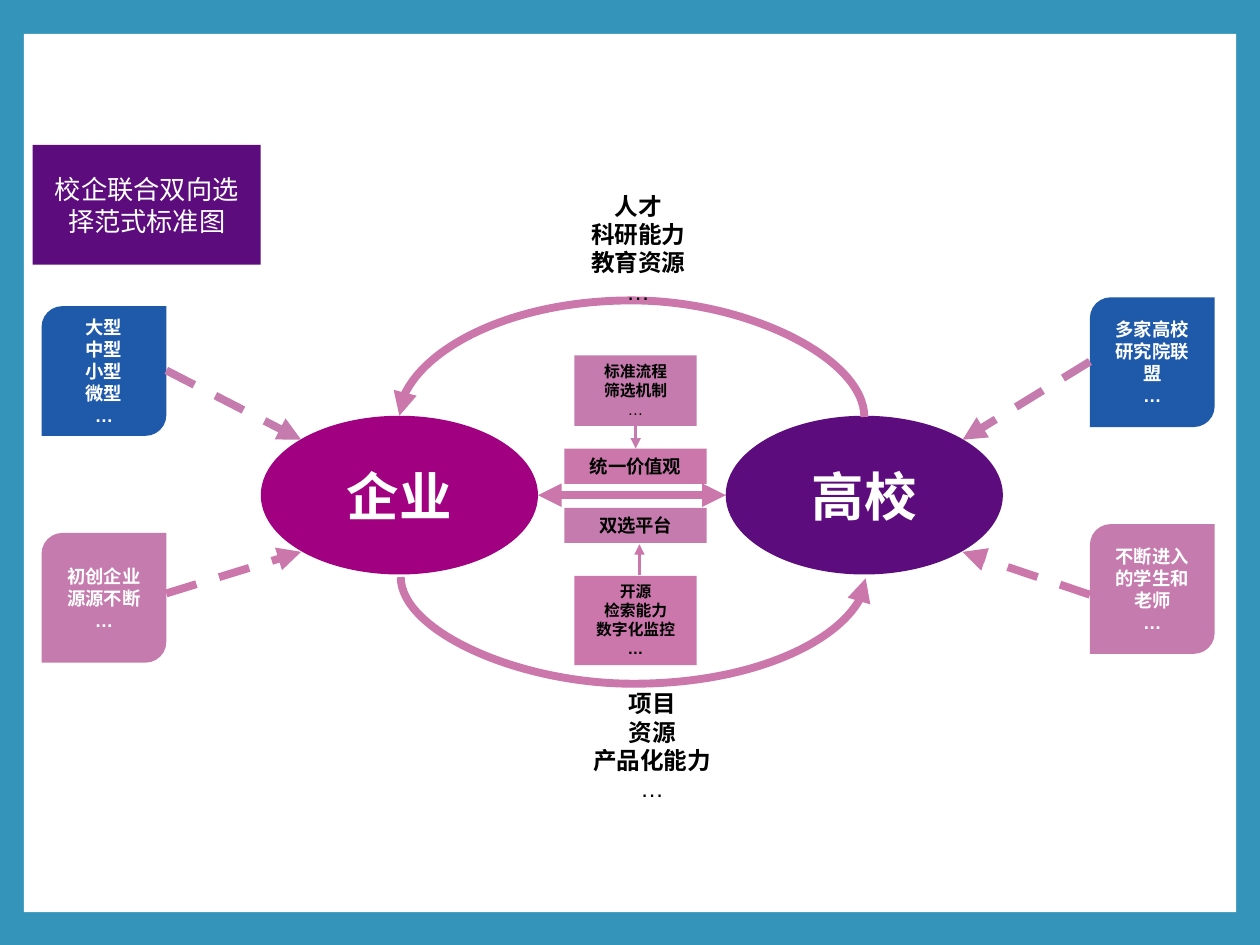
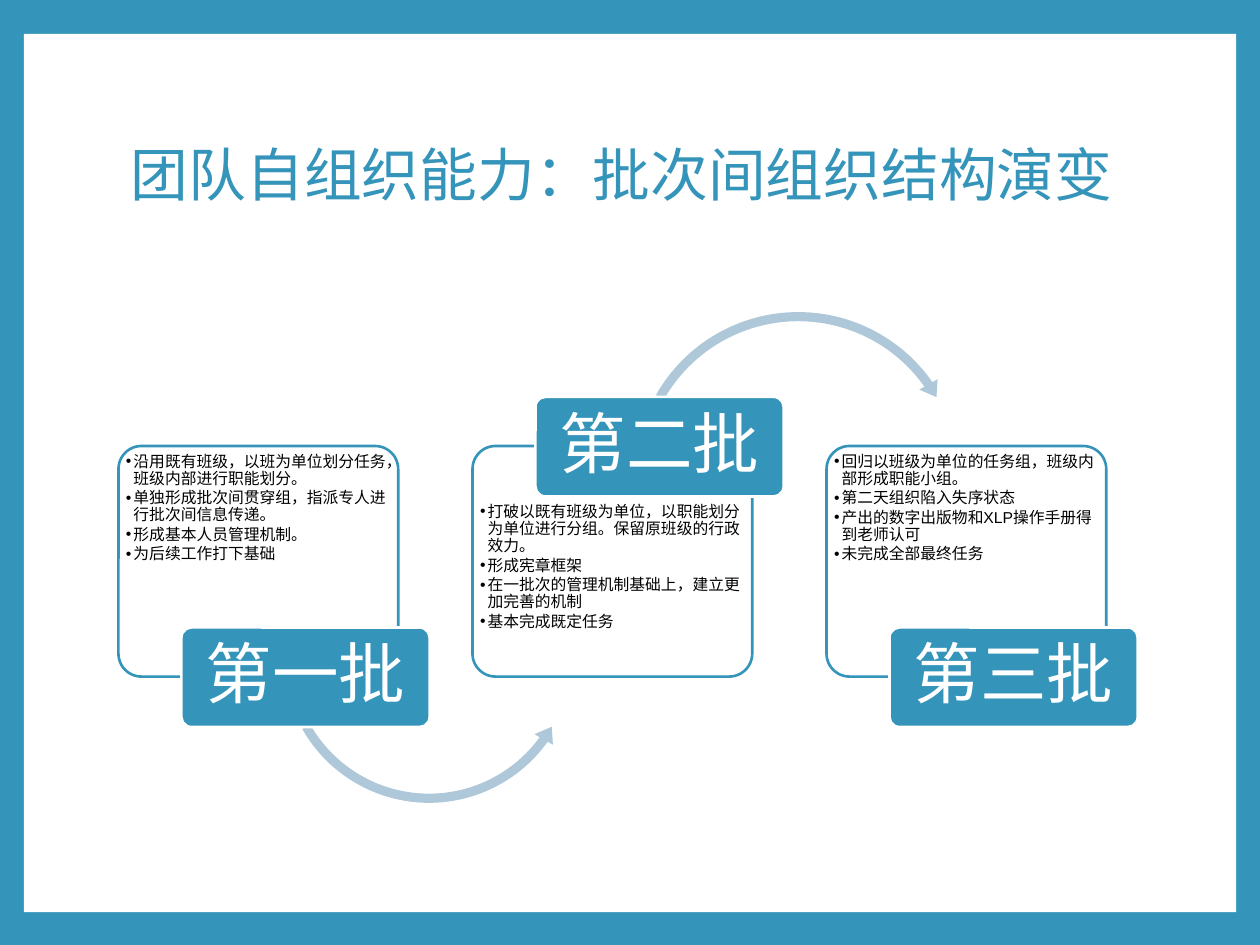
from dataclasses import dataclass

from pptx import Presentation
from pptx.dml.color import RGBColor as Rgb
from pptx.enum.dml import MSO_LINE as Dash
from pptx.enum.shapes import MSO_CONNECTOR as Conn, MSO_SHAPE as Geo
from pptx.enum.text import MSO_ANCHOR as Anchor, PP_ALIGN as Align
from pptx.oxml.ns import qn
from pptx.util import Inches, Pt
from lxml.etree import SubElement as Sub


@dataclass(frozen=True)
class Theme:
    font: str = "Arial"
    teal: str = "3494BA"
    pale: str = "AEC8D9"
    white: str = "FFFFFF"
    black: str = "000000"
    wine: str = "A10080"
    plum: str = "5C0C7D"
    blue: str = "1F59A9"
    mauve: str = "C57BAE"
    rose: str = "CB77AC"
    title: float = 33
    batch: float = 38
    party: float = 30
    plate: float = 15
    trade: float = 13.5
    label: float = 10.5
    small: float = 9
    thick: float = 4.5
    thin: float = 1.5


T = Theme()


def color(code):
    return Rgb.from_string(code)


def apply(target, values):
    for name, value in values.items():
        setattr(target, name, value)


def place(box):
    return [Inches(n) for n in box]


def write(shape, lines, size, ink, bold=False, anchor=Anchor.MIDDLE,
          align=Align.CENTER, inset=(0.1, 0.05), space=None, after=None,
          bullet=False, light=False):
    """Fill a shape with one paragraph per line; light unbolds the last."""
    frame = shape.text_frame
    side, edge = place(inset)
    apply(frame, dict(word_wrap=True, vertical_anchor=anchor, margin_left=side,
                      margin_right=side, margin_top=edge, margin_bottom=edge))
    for i, line in enumerate(lines):
        para = frame.add_paragraph() if i else frame.paragraphs[0]
        if bullet:
            props = para._p.get_or_add_pPr()
            indent = Inches(0.06)
            props.set("marL", str(indent))
            props.set("indent", str(-indent))
            Sub(props, qn("a:buFont")).set("typeface", T.font)
            Sub(props, qn("a:buChar")).set("char", "•")
        form = dict(alignment=align, line_spacing=space, space_after=after)
        apply(para, {k: v for k, v in form.items() if v is not None})
        run = para.add_run()
        run.text = line
        last = light and i == len(lines) - 1
        apply(run.font, dict(name=T.font, size=Pt(size), bold=bold and not last))
        run.font.color.rgb = color(ink)


def block(slide, geo, box, fill, edge=None, adjust=()):
    shape = slide.shapes.add_shape(geo, *place(box))
    shape.shadow.inherit = False
    shape.fill.solid()
    shape.fill.fore_color.rgb = color(fill)
    if edge:
        shape.line.color.rgb = color(edge)
        shape.line.width = Pt(T.thin)
    else:
        shape.line.fill.background()
    for i, value in enumerate(adjust):
        shape.adjustments[i] = value
    return shape


def note(slide, box, lines, size, ink, **form):
    write(slide.shapes.add_textbox(*place(box)), lines, size, ink, **form)


def arrow(slide, start, end, ink, width=T.thick, dash=False, both=False,
          kind=Conn.STRAIGHT):
    link = slide.shapes.add_connector(kind, *place(start + end))
    link.line.color.rgb = color(ink)
    link.line.width = Pt(width)
    if dash:
        link.line.dash_style = Dash.DASH
    props = link._element.spPr
    ends = ("headEnd", "tailEnd") if both else ("tailEnd",)
    for tag in ends:
        Sub(props.find(qn("a:ln")), qn("a:" + tag)).set("type", "triangle")
    Sub(props, qn("a:effectLst"))
    return link


def bow(slide, box, bend, flip):
    """Curved arrow across a wide flat box; bend is its depth."""
    x, y, w, h = box
    link = arrow(slide, (x, y), (x + w, y + h), T.rose, kind=Conn.CURVE)
    # A quarter turn swaps the sides of the box about its centre
    turned = place((x + (w - h) / 2, y + (h - w) / 2, h, w))
    apply(link, dict(zip(("left", "top", "width", "height"), turned)))
    props = link._element.spPr
    frame = props.find(qn("a:xfrm"))
    for side in ("flipH", "flipV"):
        frame.set(side, str(int(side == flip)))
    frame.set("rot", str(270 * 60000))
    geom = props.find(qn("a:prstGeom"))
    guides = geom.find(qn("a:avLst"))
    if guides is None:
        guides = Sub(geom, qn("a:avLst"))
    guide = Sub(guides, qn("a:gd"))
    guide.set("name", "adj1")
    guide.set("fmla", f"val {round(bend / h * 100000)}")


def start(deck):
    """New slide with the white panel inside the teal border."""
    slide = deck.slides.add_slide(deck.slide_layouts[6])
    block(slide, Geo.RECTANGLE, (0.19, 0.27, 9.62, 6.97), T.white)
    return slide


# Partner: an oval with two tiles feeding it from the outer side
def partner(slide, box, name, fill, drop, tiles, spokes, mirror=False):
    x, y, w = box
    tile, oval = 0.99, 2.2

    def spot(offset, wide=0):
        return x + w - offset - wide if mirror else x + offset

    top = y + drop
    shape = block(slide, Geo.OVAL, (spot(w - oval, oval), top, oval, 1.26), fill)
    write(shape, [name], T.party, T.white, bold=True)
    style = zip(tiles, spokes, (T.blue, T.mauve), (T.mauve, T.rose), (0.19, 1.08))
    for i, (lines, spoke, back, ink, hit) in enumerate(style):
        shape = block(slide, Geo.ROUND_2_DIAG_RECTANGLE,
                      (spot(0, tile), y + 1.8 * i, tile, 1.03), back)
        write(shape, lines, T.label, T.white, bold=True)
        arrow(slide, (spot(tile), y + spoke),
              (spot(w - oval + 0.32), top + hit), ink, dash=True)


# Platform: the stack of labels between the two partners
def core(slide, box):
    x, y, w = box
    mid = x + w / 2 + 0.03
    parts = [
        (0, 0.97, 0.56, T.mauve, T.small, ["标准流程", "筛选机制", "…"], True),
        (0.74, 1.13, 0.28, T.rose, T.label, ["统一价值观"], False),
        (1.21, 1.13, 0.28, T.mauve, T.label, ["双选平台"], False),
        (1.75, 0.97, 0.71, T.rose, T.small,
         ["开源", "检索能力", "数字化监控", "…"], False),
    ]
    for top, wide, high, fill, size, lines, light in parts:
        shape = block(slide, Geo.RECTANGLE, (mid - wide / 2, y + top, wide, high), fill)
        write(shape, lines, size, T.black, bold=True, anchor=Anchor.TOP, light=light)
    arrow(slide, (x, y + 1.11), (x + w, y + 1.11), T.rose, both=True)
    arrow(slide, (mid, y + 0.55), (mid, y + 0.74), T.mauve, T.thin)
    arrow(slide, (mid + 0.03, y + 1.74), (mid + 0.03, y + 1.5), T.rose, T.thin)


# Exchange: what flows over and under the platform
def trade(slide, box):
    x, y, w = box
    bow(slide, (x, y + 1.83, w, 0.01), 0.94, "flipV")
    bow(slide, (x + 0.01, y + 3.11, w, 0.01), 0.86, "flipH")
    form = dict(bold=True, anchor=Anchor.TOP, light=True)
    note(slide, (x + 1.33, y, 1.13, 1.01),
         ["人才", "科研能力", "教育资源", "…"], T.trade, T.black, **form)
    note(slide, (x + 1.42, y + 3.95, 1.17, 1.01),
         ["项目", "资源", "产品化能力", "…"], T.trade, T.black, **form)


def chart(deck):
    slide = start(deck)
    partner(slide, (0.33, 2.43, 3.94), "企业", T.wine, 0.87,
            [["大型", "中型", "小型", "微型", "…"], ["初创企业源源不断", "…"]],
            (0.51, 2.28))
    partner(slide, (5.76, 2.36, 3.88), "高校", T.plum, 0.94,
            [["多家高校", "研究院联盟", "…"], ["不断进入的学生和老师", "…"]],
            (0.51, 2.36), mirror=True)
    core(slide, (4.27, 2.82, 1.49))
    trade(slide, (3.17, 1.47, 3.69))
    plate = block(slide, Geo.RECTANGLE, (0.26, 1.15, 1.81, 0.95), T.plum)
    write(plate, ["校企联合双向选择范式标准图"], T.plate, T.white)


# Batch card: bullets in an outlined panel with a name tab at its foot or head
def card(slide, box, name, points, head=False):
    x, y, w, h = box
    block(slide, Geo.ROUNDED_RECTANGLE, box, T.white, T.teal, [0.1])
    note(slide, (x + 0.04, y + (0.44 if head else 0.04), w - 0.08, 1.36),
         points, T.small, T.black, anchor=Anchor.TOP, align=Align.LEFT,
         inset=(0.02, 0.02), space=0.9, after=Pt(1.35), bullet=True)
    tab = block(slide, Geo.ROUNDED_RECTANGLE,
                (x + 0.5, y + (-0.39 if head else 1.44), 1.97, 0.79),
                T.teal, T.white, [0.1])
    write(tab, [name], T.batch, T.white, inset=(0.08, 0.05), space=0.9)


# Circular arrow; angles are the head's spread, its end and the tail, in degrees
def swing(slide, geo, box, thick, angles, head):
    turns = [a * 0.6 for a in angles]
    block(slide, geo, box, T.pale, adjust=[thick, *turns, head])


def stages(deck):
    slide = start(deck)
    note(slide, (0.94, 0.67, 8.1, 1.48), ["团队自组织能力：批次间组织结构演变"],
         T.title, T.teal, align=Align.LEFT, space=0.9)
    swing(slide, Geo.LEFT_CIRCULAR_ARROW, (2.2, 4.01, 2.41, 2.41),
          0.03, (6.1, 35.7, 150.41), 0.035)
    swing(slide, Geo.CIRCULAR_ARROW, (4.99, 2.43, 2.69, 2.69),
          0.027, (5.42, 324.99, 209.59), 0.031)
    batches = [
        ("第一批", ["沿用既有班级，以班为单位划分任务，班级内部进行职能划分。",
                 "单独形成批次间贯穿组，指派专人进行批次间信息传递。",
                 "形成基本人员管理机制。", "为后续工作打下基础"]),
        ("第二批", ["打破以既有班级为单位，以职能划分为单位进行分组。保留原班级的行政效力。",
                 "形成宪章框架", "在一批次的管理机制基础上，建立更加完善的机制",
                 "基本完成既定任务"]),
        ("第三批", ["回归以班级为单位的任务组，班级内部形成职能小组。",
                 "第二天组织陷入失序状态",
                 "产出的数字出版物和XLP操作手册得到老师认可", "未完成全部最终任务"]),
    ]
    for i, (name, points) in enumerate(batches):
        card(slide, (0.94 + 2.81 * i, 3.54, 2.22, 1.83), name, points, head=i == 1)


def main():
    deck = Presentation()
    apply(deck, dict(slide_width=Inches(10), slide_height=Inches(7.5)))
    back = deck.slide_master.background.fill
    back.solid()
    back.fore_color.rgb = color(T.teal)
    chart(deck)
    stages(deck)
    deck.save("out.pptx")


if __name__ == "__main__":
    main()
